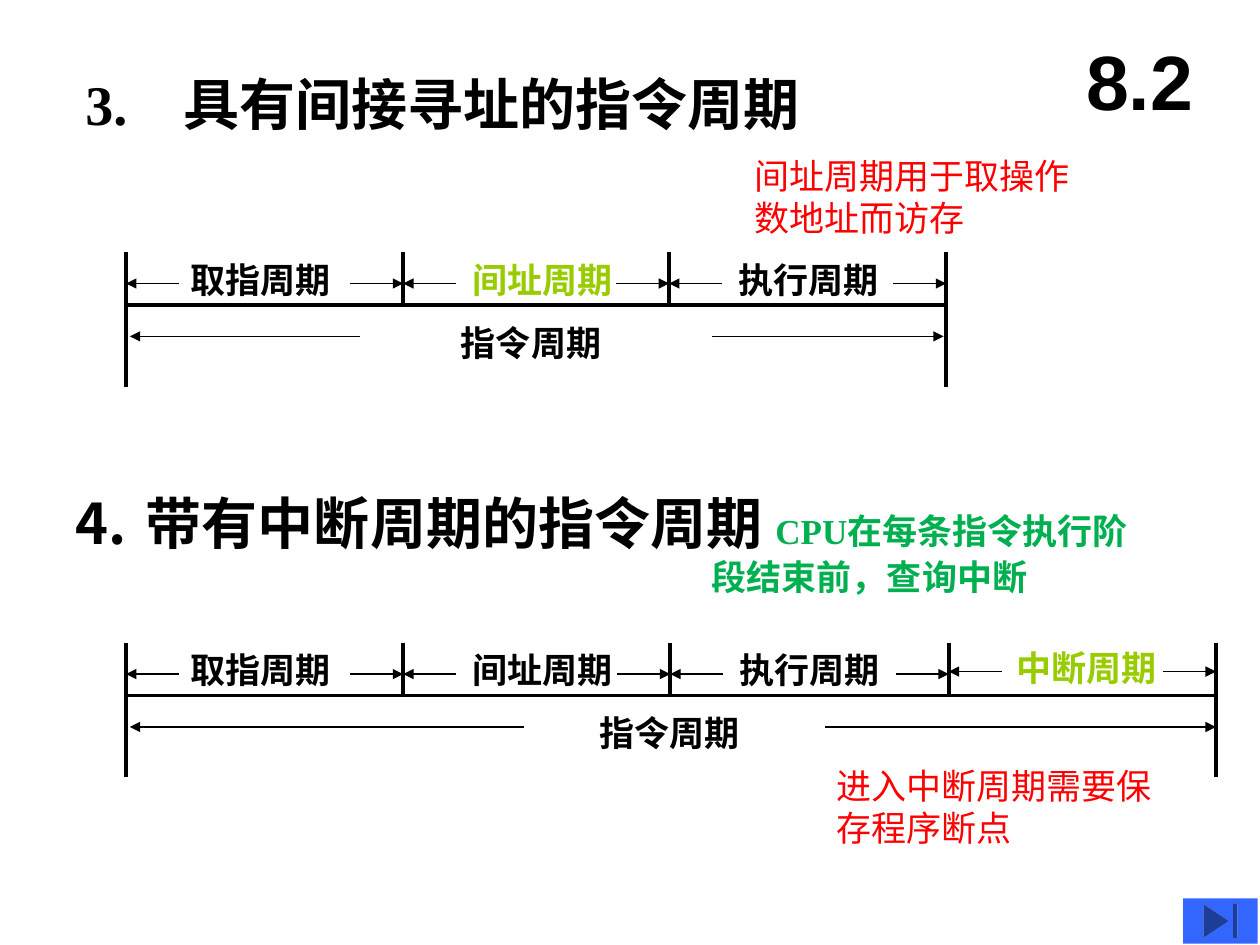
from pptx import Presentation
from pptx import util as u
from pptx.dml.color import RGBColor
from pptx.enum import shapes, text
from pptx.oxml.ns import qn
from lxml import etree

THEME = dict(
    ink="000000", lime="99CC00", green="00B050", red="FF0000", blue="3366FF",
    serif="Times New Roman", sans="Arial",
    big=44, head=32, body=20, thick=2.25, thin=0.75,
)
HEADS = [
    ((0.58, 0.5, 6.25, 0.64), [
        (0.78, -0.78, None, [("3.\t具有间接寻址的指令周期", "head", "ink")]),
    ]),
    ((0.5, 3.83, 8.79, 0.97), [
        (0.56, -0.56, 4, [("带有中断周期的指令周期 ", "head", "ink"),
                          ("CPU在每条指令执行阶", "body", "green")]),
        (5.05, 0, None, [("段结束前，查询中断", "body", "green")]),
    ]),
]
NOTES = [
    ((5.89, 1.18, 2.84, 0.77), "间址周期用于取操作数地址而访存"),
    ((6.54, 6.02, 2.84, 0.77), "进入中断周期需要保存程序断点"),
]
CHARTS = [
    dict(top=2, marks=[1, 3.2, 5.31, 7.51],
         parts=[("取指周期", 1.41, "ink", 0), ("间址周期", 3.65, "lime", 0),
                ("执行周期", 5.76, "ink", 0)],
         total=("指令周期", 3.56), spans=[(2.86, 1.03), (5.65, 7.49)]),
    dict(top=5.1, marks=[1, 3.2, 5.32, 7.53, 9.65],
         parts=[("取指周期", 1.41, "ink", 0), ("间址周期", 3.65, "ink", 0),
                ("执行周期", 5.77, "ink", 0), ("中断周期", 7.97, "lime", -0.02)],
         total=("指令周期", 4.66), spans=[(4.16, 1.03), (6.55, 9.65)]),
]
TICK, DROP, STUB = 0.42, 1.07, 0.42
LABEL = (1.31, 0.44)

deck = Presentation()
deck.slide_width, deck.slide_height = u.Inches(10), u.Inches(7.5)
slide = deck.slides.add_slide(deck.slide_layouts[5])


def color(name):
    return RGBColor.from_string(THEME[name])


def add_run(para, words, size, tint, face="serif", bold=True):
    run = para.add_run()
    run.text = words
    font = run.font
    font.name, font.size, font.bold = THEME[face], u.Pt(THEME[size]), bold
    font.color.rgb = color(tint)


def add_box(area, wrap=True):
    frame = slide.shapes.add_textbox(*map(u.Inches, area)).text_frame
    frame.word_wrap = wrap
    frame.auto_size = text.MSO_AUTO_SIZE.SHAPE_TO_FIT_TEXT
    return frame


def add_label(words, left, top, tint):
    frame = add_box((left, top, *LABEL), wrap=False)
    add_run(frame.paragraphs[0], words, "body", tint)


def add_line(x1, y1, x2, y2, width="thick", arrow=False):
    line = slide.shapes.add_connector(
        shapes.MSO_CONNECTOR.STRAIGHT, *map(u.Inches, (x1, y1, x2, y2)))
    line.line.color.rgb = color("ink")
    line.line.width = u.Pt(THEME[width])
    if arrow:
        etree.SubElement(line.line._get_or_add_ln(), qn("a:tailEnd"), type="triangle")
    etree.SubElement(line._element.spPr, qn("a:effectLst"))


def set_indent(para, left, first, start):
    props = para._p.get_or_add_pPr()
    props.set("marL", str(u.Inches(left)))
    props.set("indent", str(u.Inches(first)))
    if start:
        tint = etree.SubElement(props, qn("a:buClr"))
        etree.SubElement(tint, qn("a:srgbClr"), val=THEME["ink"])
        etree.SubElement(props, qn("a:buAutoNum"), type="arabicPeriod", startAt=str(start))
    else:
        etree.SubElement(props, qn("a:buNone"))
        tabs = etree.SubElement(props, qn("a:tabLst"))
        etree.SubElement(tabs, qn("a:tab"), pos=str(u.Inches(left)), algn="l")


def add_chart(top, marks, parts, total, spans):
    axis, row, low = top + TICK, top + 0.25, top + 0.67
    add_line(marks[0], axis, marks[-1], axis)
    for mark in marks:
        edge = mark in (marks[0], marks[-1])
        add_line(mark, top, mark, top + (DROP if edge else TICK))
    for start, end, (words, left, tint, shift) in zip(marks, marks[1:], parts):
        add_label(words, left, top + shift, tint)
        for tail, tip in ((start + STUB, start), (end - STUB, end)):
            add_line(tail, row + shift, tip, row + shift, "thin", True)
    add_label(*total, top + 0.5, "ink")
    for tail, tip in spans:
        add_line(tail, low, tip, low, "thin", True)


title = slide.shapes.title
title.left, title.top, title.width, title.height = map(u.Inches, (8.42, 0.17, 1.25, 0.92))
frame = title.text_frame
frame.auto_size = text.MSO_AUTO_SIZE.NONE
frame.vertical_anchor = text.MSO_ANCHOR.MIDDLE
frame.paragraphs[0].alignment = text.PP_ALIGN.CENTER
add_run(frame.paragraphs[0], "8.2", "big", "ink", "sans")

for area, paras in HEADS:
    frame = add_box(area)
    for index, (left, first, start, runs) in enumerate(paras):
        para = frame.add_paragraph() if index else frame.paragraphs[0]
        set_indent(para, left, first, start)
        for run in runs:
            add_run(para, *run)

for chart in CHARTS:
    add_chart(**chart)

for area, words in NOTES:
    add_run(add_box(area).paragraphs[0], words, "body", "red", "sans", False)

button = slide.shapes.add_shape(
    shapes.MSO_SHAPE.ACTION_BUTTON_END, *map(u.Inches, (9.39, 7.13, 0.59, 0.36)))
button.shadow.inherit = False
button.fill.solid()
button.fill.fore_color.rgb = color("blue")
button.line.fill.background()

deck.save("out.pptx")
